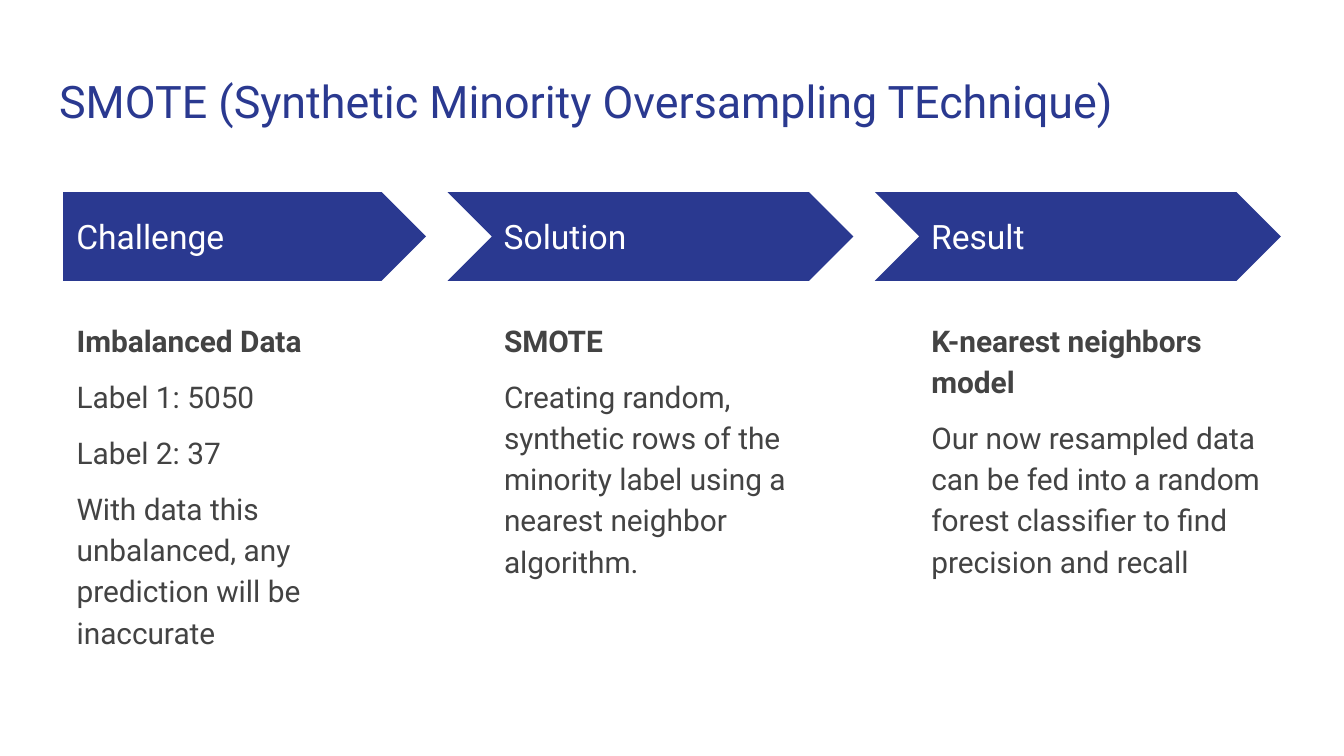
from lxml.etree import SubElement
from pptx import Presentation
from pptx.dml.color import RGBColor
from pptx.enum.shapes import MSO_SHAPE
from pptx.enum.text import MSO_ANCHOR, MSO_AUTO_SIZE, PP_ALIGN
from pptx.oxml.ns import qn
from pptx.util import Inches, Pt

TITLE = "SMOTE (Synthetic Minority Oversampling TEchnique)"
STEPS = [
    ("Challenge", ["Imbalanced Data", "Label 1: 5050", "Label 2: 37",
                   "With data this unbalanced, any prediction will be inaccurate"]),
    ("Solution", ["SMOTE", "Creating random, synthetic rows of the minority label "
                  "using a nearest neighbor algorithm."]),
    ("Result", ["K-nearest neighbors model", "Our now resampled data can be fed into "
                "a random forest classifier to find precision and recall"]),
]
COLORS = {"blue": "2A3990", "white": "FFFFFF", "gray": "434343"}
LEFT, PITCH, COLUMN, NOTCH = 0.47, 3.18, 2.7, 0.32
ARROW_TOP, ARROW_HEIGHT = 1.43, 0.66


def place(box, left, top, width, height):
    """Move a shape to a position in inches."""
    box.left, box.top = Inches(left), Inches(top)
    box.width, box.height = Inches(width), Inches(height)


def write(box, lines, size, color, anchor=MSO_ANCHOR.TOP, spacing=1.0, lead=False):
    """Fill a box with plain paragraphs; lead makes the first one bold."""
    frame = box.text_frame
    frame.text = "\n".join(lines)
    frame.word_wrap, frame.auto_size = True, MSO_AUTO_SIZE.NONE
    frame.vertical_anchor = anchor
    frame.margin_left = frame.margin_right = Inches(0.1)
    frame.margin_top = frame.margin_bottom = Inches(0.1)
    for number, para in enumerate(frame.paragraphs):
        para.alignment, para.line_spacing = PP_ALIGN.LEFT, spacing
        para.space_before = Pt(8 if number else 0)
        para.space_after = Pt(0)
        settings = para._p.get_or_add_pPr()
        settings.set("marL", "0")
        settings.set("indent", "0")
        SubElement(settings, qn("a:buNone"))
        para.font.name, para.font.size = "Roboto", Pt(size)
        para.font.bold = lead and number == 0
        para.font.color.rgb = RGBColor.from_string(COLORS[color])


def add_arrow(page, kind, left, width):
    """Draw one step arrow."""
    arrow = page.shapes.add_shape(kind, Inches(left), Inches(ARROW_TOP),
                                  Inches(width), Inches(ARROW_HEIGHT))
    arrow.adjustments[0] = 0.5
    arrow.shadow.inherit = False
    arrow.fill.solid()
    arrow.fill.fore_color.rgb = RGBColor.from_string(COLORS["blue"])
    arrow.line.fill.background()


deck = Presentation()
deck.slide_width, deck.slide_height = Inches(10), Inches(10 * 9 / 16)
page = deck.slides.add_slide(deck.slide_layouts.get_by_name("Comparison"))
title, *bodies = page.placeholders
place(title, 0.34, 0.45, 9.32, 0.66)
write(title, [TITLE], 24, "blue")

for column, ((heading, lines), body) in enumerate(zip(STEPS, bodies)):
    left = LEFT + column * PITCH
    if column == 0:
        add_arrow(page, MSO_SHAPE.PENTAGON, left, COLUMN)
    else:
        add_arrow(page, MSO_SHAPE.CHEVRON, left - NOTCH, COLUMN + NOTCH)
    label = page.shapes.add_textbox(Inches(left), Inches(1.59), Inches(2.47), Inches(0.34))
    write(label, [heading], 18, "white", MSO_ANCHOR.MIDDLE)
    place(body, left, 2.26, COLUMN, 2.9)
    write(body, lines, 16, "gray", spacing=1.15, lead=True)

for spare in bodies[len(STEPS):]:
    spare.element.getparent().remove(spare.element)

deck.save("out.pptx")
